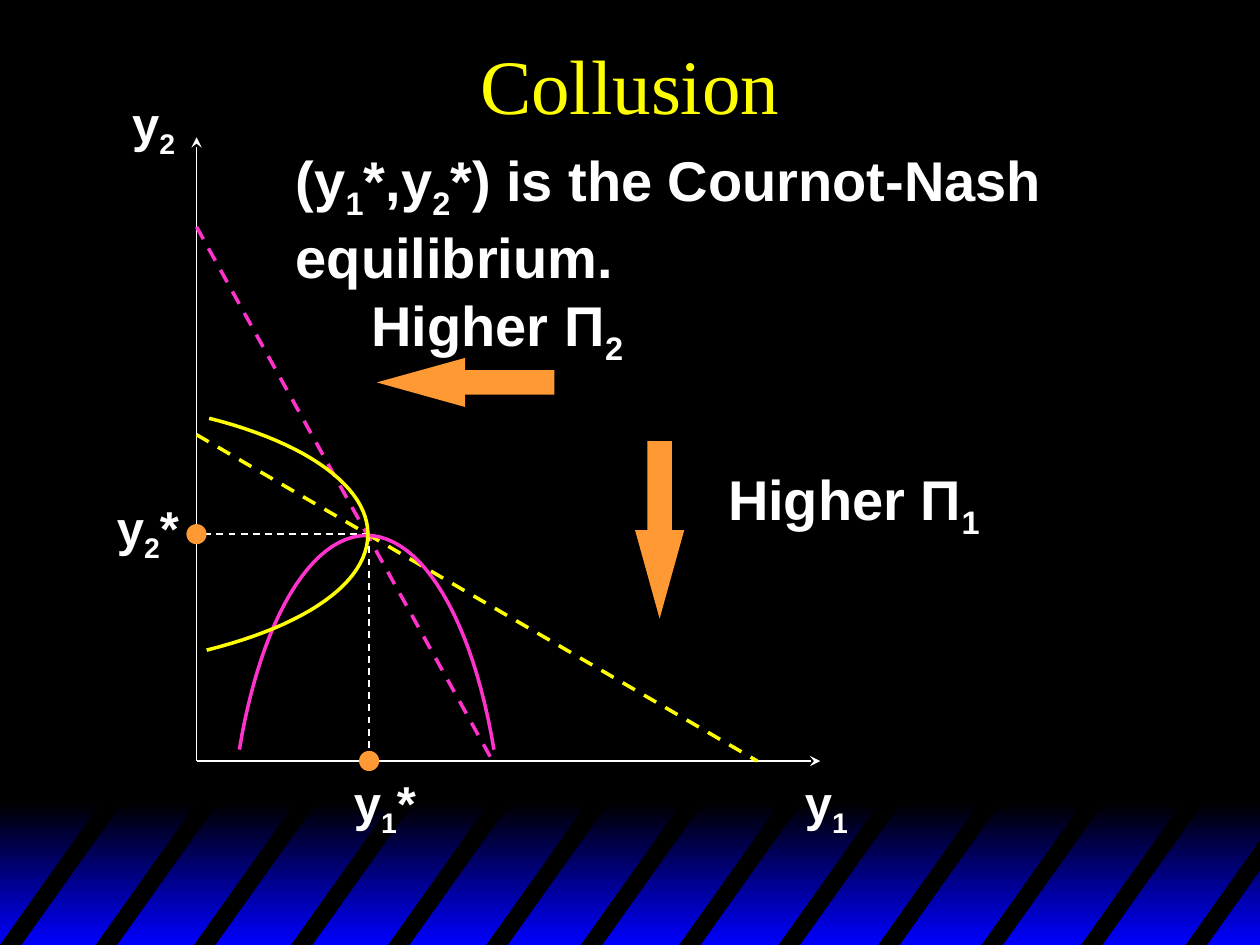
from lxml import etree
from pptx import Presentation
from pptx.dml.color import RGBColor
from pptx.enum.dml import MSO_LINE
from pptx.enum.shapes import MSO_CONNECTOR, MSO_SHAPE
from pptx.enum.text import MSO_ANCHOR, MSO_AUTO_SIZE, PP_ALIGN
from pptx.oxml.ns import qn
from pptx.util import Inches, Pt

DASH = MSO_LINE.DASH
STRAIGHT = MSO_CONNECTOR.STRAIGHT
RECT, OVAL = MSO_SHAPE.RECTANGLE, MSO_SHAPE.OVAL
LEFT, DOWN = MSO_SHAPE.LEFT_ARROW, MSO_SHAPE.DOWN_ARROW
MIDDLE, CENTER, GROW = MSO_ANCHOR.MIDDLE, PP_ALIGN.CENTER, MSO_AUTO_SIZE.SHAPE_TO_FIT_TEXT

COLS, ROWS = 100, 75
CELL = Inches(10) // COLS
COLORS = {"black": "000000", "blue": "0000FF", "white": "FFFFFF",
          "yellow": "FFFF00", "pink": "FF33CC", "orange": "FF9933"}
TITLE = {"size": Pt(44), "name": "Times New Roman", "bold": False}
LABEL = {"size": Pt(28), "name": "Arial", "bold": True}
NOTE = {**LABEL, "size": Pt(32)}
STRIPES = [0, 7.6, 15.4, 23.1, 30.8, 38.6, 46.1, 53.9, 61.8, 69.7, 77.9, 85.8, 94.1]


def color(name):
    """Return the named colour."""
    return RGBColor.from_string(COLORS[name])


def grid(*cells):
    """Turn grid cells into lengths."""
    return [round(cell * CELL) for cell in cells]


def style(font, form, tint):
    """Apply format values and a colour to a font."""
    for key, value in form.items():
        setattr(font, key, value)
    font.color.rgb = color(tint)


def solid(shapes, kind, box, tint, adjust=()):
    """Add a plain filled shape in the box."""
    shape = shapes.add_shape(kind, *grid(*box))
    shape.shadow.inherit = False
    for index, value in enumerate(adjust):
        shape.adjustments[index] = value
    shape.fill.solid()
    shape.fill.fore_color.rgb = color(tint)
    shape.line.fill.background()
    return shape


def outline(shapes, points, close):
    """Add a freeform through the points."""
    spots = [grid(*point) for point in points]
    form = shapes.build_freeform(*spots[0])
    form.add_line_segments(spots[1:], close=close)
    shape = form.convert_to_shape()
    shape.shadow.inherit = False
    return shape


def curve(shapes, knots, tint, steps=24):
    """Draw a chain of cubic curves through the knots."""
    points = [knots[0]]
    for start in range(0, len(knots) - 1, 3):
        four = knots[start:start + 4]
        for step in range(1, steps + 1):
            t = step / steps
            parts = ((1 - t) ** 3, 3 * t * (1 - t) ** 2, 3 * t * t * (1 - t), t ** 3)
            points.append([sum(p * k[axis] for p, k in zip(parts, four)) for axis in (0, 1)])
    shape = outline(shapes, points, False)
    shape.fill.background()
    shape.line.color.rgb = color(tint)
    shape.line.width = Pt(2)


def line(shapes, start, end, tint, width=1, dash=None, arrow=False):
    """Draw a straight line, dashed or with an arrowhead at its end."""
    link = shapes.add_connector(STRAIGHT, *grid(*start, *end))
    link.line.color.rgb = color(tint)
    link.line.width = Pt(width)
    if dash:
        link.line.dash_style = dash
    if arrow:
        etree.SubElement(link.line._get_or_add_ln(), qn("a:tailEnd"), type="stealth")
    etree.SubElement(link._element.spPr, qn("a:effectLst"))


def text(shapes, box, words, form):
    """Add text in which each underscore lowers the next character."""
    frame = shapes.add_textbox(*grid(*box)).text_frame
    frame.word_wrap = False
    frame.auto_size = GROW
    para = frame.paragraphs[0]

    def add(part, low=False):
        """Add one run, lowered on demand."""
        run = para.add_run()
        run.text = part
        style(run.font, form, "white")
        if low:
            run._r.get_or_add_rPr().set("baseline", "-25000")

    for row, sentence in enumerate(words.split("\n")):
        if row:
            para.add_line_break()
        first, *rest = sentence.split("_")
        add(first)
        for part in rest:
            add(part[0], True)
            if part[1:]:
                add(part[1:])


def band(shapes, x, y, w, h):
    """Fill the foot of the slide with a striped gradient."""
    base = solid(shapes, RECT, (x, y, w, h), "blue")
    base.fill.gradient()
    base.fill.gradient_angle = 270
    for stop, tint, place in zip(base.fill.gradient_stops, ("black", "blue"), (0, 1)):
        stop.color.rgb = color(tint)
        stop.position = place
    foot, slope, thick = y + h, 0.71, 1.7
    for left in STRIPES:
        right = left + thick
        rise, fall = (min(h, (w - edge) / slope) for edge in (left, right))
        points = [(x + left, foot), (x + left + rise * slope, foot - rise),
                  (x + right + fall * slope, foot - fall), (x + right, foot)]
        stripe = outline(shapes, points, True)
        stripe.fill.solid()
        stripe.fill.fore_color.rgb = color("black")
        stripe.line.fill.background()


def head(title, x, y, w, h):
    """Place the title in its box."""
    title.left, title.top, title.width, title.height = grid(x, y, w, h)
    frame = title.text_frame
    frame.text = "Collusion"
    frame.vertical_anchor = MIDDLE
    frame.paragraphs[0].alignment = CENTER
    style(frame.paragraphs[0].runs[0].font, TITLE, "yellow")


def plot(shapes, x, y, w, h):
    """Draw the axes, reaction lines, profit curves and equilibrium."""
    def at(*spots):
        """Shift spots into the plot box."""
        return [(x + across, y + down) for across, down in spots]

    best, level = 13.7, 31.5
    zero, top, end, meet, foot, side = at(
        (0, h), (0, 0), (w, h), (best, level), (best, h), (0, level))
    line(shapes, zero, top, "white", arrow=True)
    line(shapes, zero, end, "white", arrow=True)
    line(shapes, *at((0, 7.1), (23.5, h)), "pink", 2, DASH)
    for spot in (foot, side):
        line(shapes, meet, spot, "white", 1, DASH)
        solid(shapes, OVAL, (spot[0] - 0.8, spot[1] - 0.8, 1.6, 1.6), "orange")
    line(shapes, *at((0, 23.6), (44.5, h)), "yellow", 2, DASH)
    curve(shapes, at((3.4, 48.6), (5.1, 38.3), (9.1, 31.6), (13.5, 31.6),
                     (17.9, 31.6), (21.9, 38.3), (23.6, 48.6)), "pink")
    curve(shapes, at((1, 22.3), (8.9, 24.3), (13.6, 27.8), (13.6, 31.5),
                     (13.6, 35.3), (8.8, 38.7), (0.8, 40.7)), "yellow")
    for spot, wide, words in (((-6.1, -4), 5.4, "y_2"), ((w - 2.2, h + 0.4), 5.4, "y_1"),
                              ((best - 2.2, h + 0.4), 6.9, "y_1*"),
                              ((-7.3, level - 3.4), 6.9, "y_2*")):
        text(shapes, (*at(spot)[0], wide, 6.3), words, LABEL)


def notes(shapes, x, y, w, h):
    """Place the remark and the two profit arrows."""
    text(shapes, (x, y, w, h), "(y_1*,y_2*) is the Cournot-Nash\nequilibrium.", NOTE)
    long, thick = 14.1, 3.9
    for kind, left, top, wide, high in ((LEFT, 7.4, 17.3, long, thick),
                                        (DOWN, 27.9, 23.9, thick, long)):
        solid(shapes, kind, (x + left, y + top, wide, high), "orange", (0.5, 1.8))
    for left, top, words in ((6, 11.5, "Higher Π_2"), (34.3, 25.3, "Higher Π_1")):
        text(shapes, (x + left, y + top, 22.3, 7.1), words, NOTE)


def main():
    """Build the slide and save it."""
    deck = Presentation()
    deck.slide_width, deck.slide_height = grid(COLS, ROWS)
    slide = deck.slides.add_slide(deck.slide_layouts[5])
    slide.background.fill.solid()
    slide.background.fill.fore_color.rgb = color("black")
    band(slide.shapes, 0, 63.8, COLS, 11.2)
    head(slide.shapes.title, 0, 0, COLS, 13.3)
    plot(slide.shapes, 15.6, 10.9, 49.5, 49.5)
    notes(slide.shapes, 22.5, 11.1, 61.3, 12.4)
    deck.save("out.pptx")


if __name__ == "__main__":
    main()
